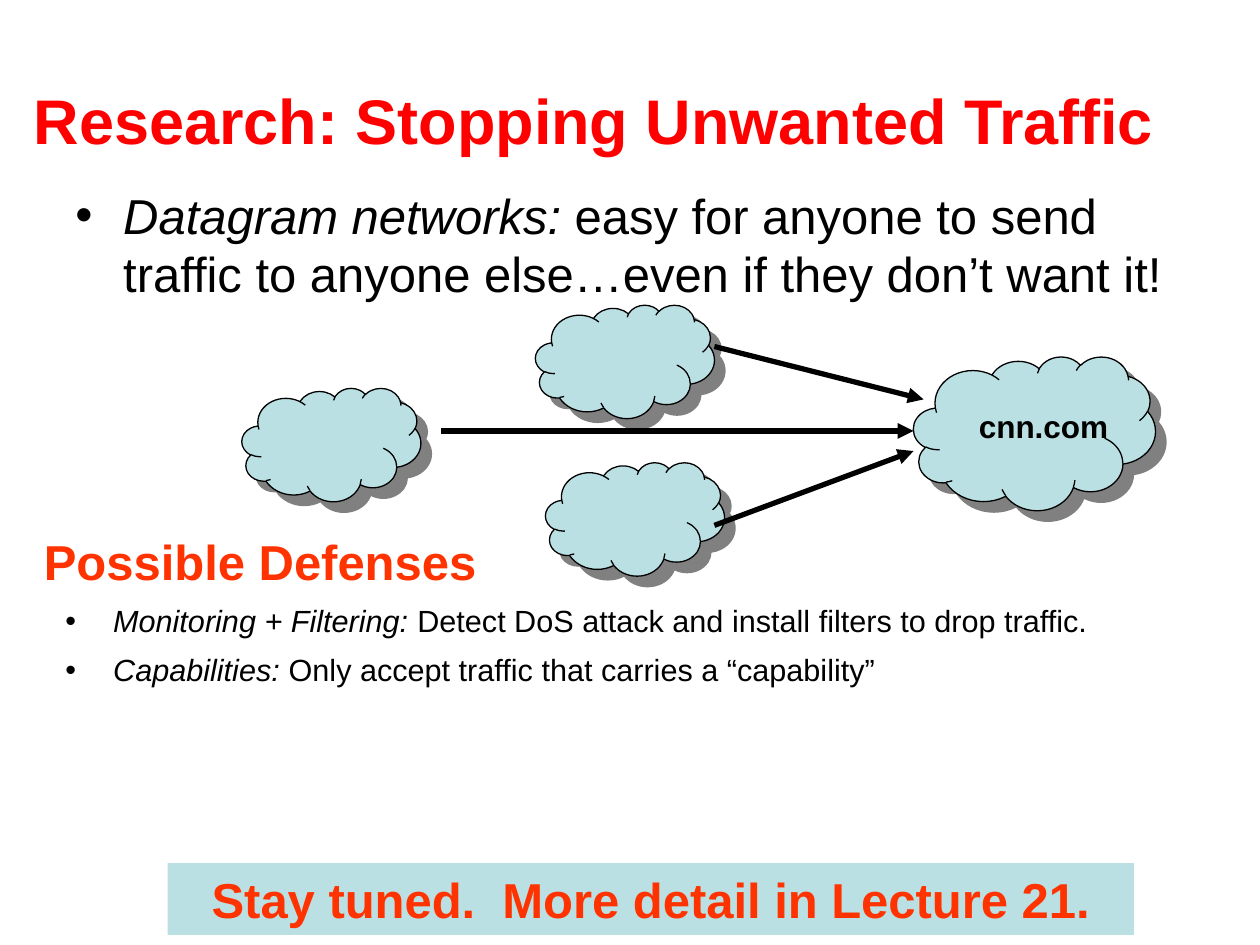
"""Build a slide on stopping unwanted traffic in datagram networks."""
from typing import NamedTuple

from lxml.etree import SubElement
from pptx import Presentation
from pptx.dml.color import RGBColor
from pptx.enum.shapes import MSO_CONNECTOR, MSO_SHAPE
from pptx.enum.text import MSO_ANCHOR, PP_ALIGN
from pptx.oxml.ns import qn
from pptx.util import Inches, Pt

FONT = "Arial"
COLORS = {
    "title": "FF0000",
    "accent": "FF3300",
    "ink": "000000",
    "cloud": "BBE0E3",
    "shadow": "808080",
}


class Box(NamedTuple):
    """Hold a place and size in inches."""
    left: float
    top: float
    width: float
    height: float


class Arrow(NamedTuple):
    """Hold the two ends of an arrow in inches."""
    x1: float
    y1: float
    x2: float
    y2: float


class Point(NamedTuple):
    """Hold a paragraph with an optional italic lead."""
    lead: str
    rest: str


SMALL = (1.42, 0.9)
CLOUDS = [
    Box(7.25, 2.83, 1.92, 1.22),
    Box(4.25, 2.42, *SMALL),
    Box(1.92, 3.08, *SMALL),
    Box(4.33, 3.67, *SMALL),
]
ARROWS = [
    Arrow(3.5, 3.42, 7.25, 3.42),
    Arrow(5.67, 2.75, 7.33, 3.17),
    Arrow(5.67, 4.17, 7.25, 3.58),
]


def tint(key: str) -> RGBColor:
    """Return a named colour."""
    return RGBColor.from_string(COLORS[key])


def place(values: tuple) -> list:
    """Turn inches into lengths."""
    return [Inches(value) for value in values]


def add_text(slide, box: Box, points: list[Point], *, size: float,
             color: str = "ink", bold: bool = False, bullet: bool = False,
             align=PP_ALIGN.LEFT, anchor=MSO_ANCHOR.TOP,
             fill: str | None = None) -> None:
    """Add a box of text, filled if a colour is named."""
    if fill:
        shape = slide.shapes.add_shape(MSO_SHAPE.RECTANGLE, *place(box))
        shape.shadow.inherit = False
        shape.fill.solid()
        shape.fill.fore_color.rgb = tint(fill)
        shape.line.fill.background()
    else:
        shape = slide.shapes.add_textbox(*place(box))
    frame = shape.text_frame
    frame.word_wrap = True
    frame.vertical_anchor = anchor
    for index, point in enumerate(points):
        para = frame.add_paragraph() if index else frame.paragraphs[0]
        para.alignment = align
        if index:
            para.space_before = Pt(7)
        if bullet:
            props = para._p.get_or_add_pPr()
            props.set("marL", str(Inches(0.38)))
            props.set("indent", str(-Inches(0.38)))
            SubElement(props, qn("a:buFont"), typeface=FONT)
            SubElement(props, qn("a:buChar"), char="•")
        for part, slant in ((point.lead, True), (point.rest, False)):
            if part:
                run = para.add_run()
                run.text = part
                font = run.font
                font.name, font.size = FONT, Pt(size)
                font.bold, font.italic = bold, slant
                font.color.rgb = tint(color)


def add_cloud(slide, box: Box) -> None:
    """Add a cloud with a hard shadow."""
    cloud = slide.shapes.add_shape(MSO_SHAPE.CLOUD, *place(box))
    cloud.shadow.inherit = False
    cloud.fill.solid()
    cloud.fill.fore_color.rgb = tint("cloud")
    cloud.line.color.rgb = tint("ink")
    cloud.line.width = Pt(0.75)
    effects = cloud._element.spPr.find(qn("a:effectLst"))
    shade = SubElement(effects, qn("a:outerShdw"), blurRad="0",
                       dist=str(Pt(8.5)), dir=str(45 * 60000),
                       algn="ctr", rotWithShape="0")
    SubElement(shade, qn("a:srgbClr"), val=COLORS["shadow"])


def add_arrow(slide, arrow: Arrow) -> None:
    """Add a straight arrow."""
    line = slide.shapes.add_connector(MSO_CONNECTOR.STRAIGHT, *place(arrow))
    line.line.color.rgb = tint("ink")
    line.line.width = Pt(3)
    SubElement(line.line._get_or_add_ln(), qn("a:tailEnd"), type="triangle")
    SubElement(line._element.spPr, qn("a:effectLst"))


def main() -> None:
    """Build and save the slide."""
    deck = Presentation()
    deck.slide_width, deck.slide_height = Inches(10), Inches(7.5)
    slide = deck.slides.add_slide(deck.slide_layouts[6])
    add_text(slide, Box(0.17, 0.32, 9.58, 1.25),
             [Point("", "Research: Stopping Unwanted Traffic")],
             size=36, color="title", bold=True, anchor=MSO_ANCHOR.MIDDLE)
    add_text(slide, Box(0.5, 1.42, 9, 1.17),
             [Point("Datagram networks:", " easy for anyone to send traffic "
                    "to anyone else…even if they don’t want it!")],
             size=28, bullet=True)
    add_text(slide, Box(1.33, 6.85, 7.67, 0.57),
             [Point("", "Stay tuned.  More detail in Lecture 21.")],
             size=28, color="accent", bold=True, align=PP_ALIGN.CENTER,
             fill="cloud")
    add_text(slide, Box(0.25, 4.17, 4.33, 0.57),
             [Point("", "Possible Defenses")],
             size=28, color="accent", bold=True)
    add_text(slide, Box(0.42, 4.73, 9, 1.17),
             [Point("Monitoring + Filtering:",
                    " Detect DoS attack and install filters to drop traffic."),
              Point("Capabilities: ",
                    "Only accept traffic that carries a “capability”")],
             size=17.5, bullet=True)
    for cloud in CLOUDS:
        add_cloud(slide, cloud)
    for arrow in ARROWS:
        add_arrow(slide, arrow)
    add_text(slide, Box(7.67, 3.18, 1.33, 0.4), [Point("", "cnn.com")],
             size=18, bold=True)
    deck.save("out.pptx")


if __name__ == "__main__":
    main()
